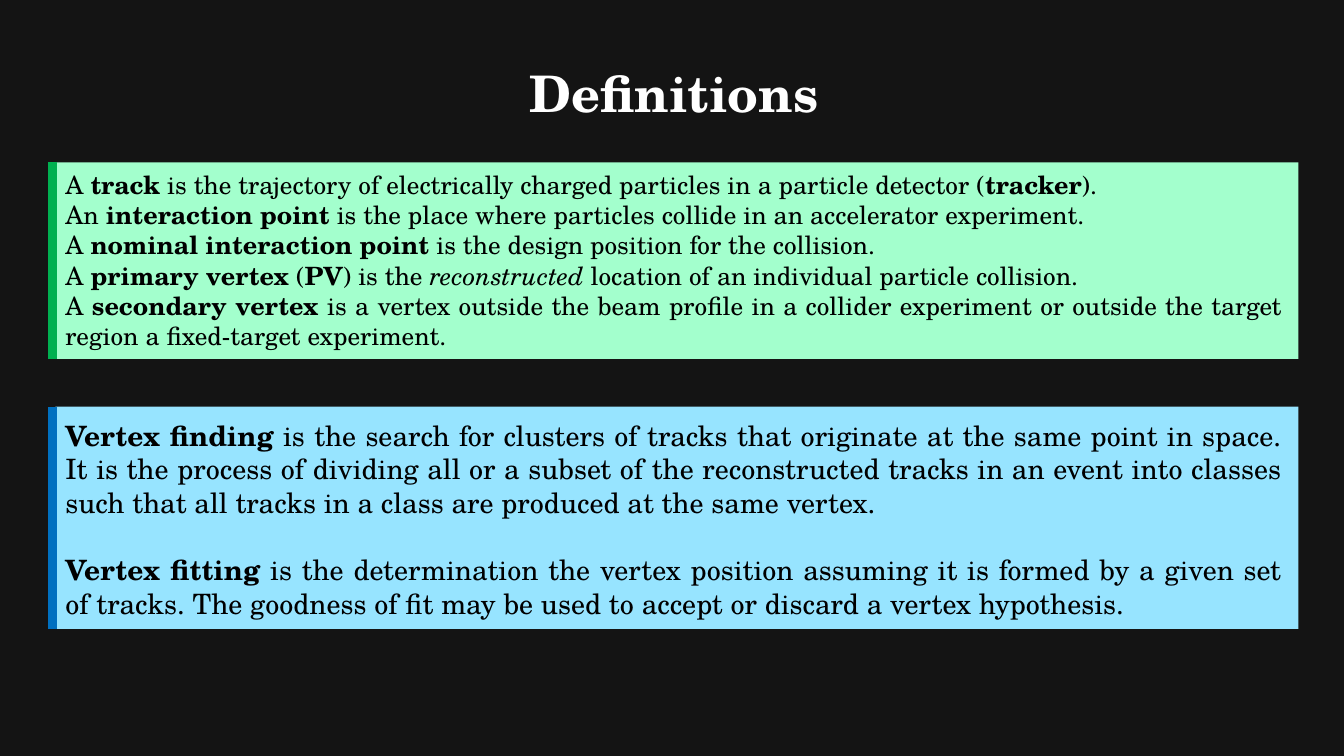
from pptx import Presentation
from pptx.dml.color import RGBColor
from pptx.enum.shapes import MSO_CONNECTOR, MSO_SHAPE
from pptx.enum.text import PP_ALIGN
from pptx.oxml.ns import qn
from pptx.util import Pt

RECT = MSO_SHAPE.RECTANGLE
STRAIGHT = MSO_CONNECTOR.STRAIGHT
CENTER, JUSTIFY = PP_ALIGN.CENTER, PP_ALIGN.JUSTIFY

FONT = "TeX Gyre Schola"
COLORS = {
    "background": "141414", "title": "FFFFFF", "text": "000000",
    "green": "A3FFCD", "green_bar": "00B050",
    "blue": "97E4FF", "blue_bar": "0070C0",
}
LEFT, PANEL_W, TEXT_W = 39.6, 887.8, 883.4

# *...* marks bold, _..._ marks italic
TERMS = [
    "A *track* is the trajectory of electrically charged particles in a "
    "particle detector (*tracker*).",
    "An *interaction point* is the place where particles collide in an "
    "accelerator experiment.",
    "A *nominal interaction point* is the design position for the collision.",
    "A *primary vertex* (*PV*) is the _reconstructed_ location of an "
    "individual particle collision.",
    "A *secondary vertex* is a vertex outside the beam profile in a collider "
    "experiment or outside the target region a fixed-target experiment.",
]
TASKS = [
    "*Vertex finding* is the search for clusters of tracks that originate at "
    "the same point in space. It is the process of dividing all or a subset "
    "of the reconstructed tracks in an event into classes such that all "
    "tracks in a class are produced at the same vertex.",
    "*Vertex fitting* is the determination the vertex position assuming it is "
    "formed by a given set of tracks. The goodness of fit may be used to "
    "accept or discard a vertex hypothesis.",
]


def rgb(name):
    return RGBColor.from_string(COLORS[name])


def add_runs(p, marked, size, color):
    for i, part in enumerate(marked.split("*")):
        for j, text in enumerate(part.split("_")):
            if text:
                r = p.add_run()
                r.text = text
                r.font.name, r.font.size = FONT, Pt(size)
                r.font.bold, r.font.italic = i % 2 == 1, j % 2 == 1
                r.font.color.rgb = rgb(color)


def add_text(slide, box, paragraphs, size, color, align, gap=0):
    tf = slide.shapes.add_textbox(*map(Pt, box)).text_frame
    tf.word_wrap = True
    for i, marked in enumerate(paragraphs):
        p = tf.paragraphs[0] if i == 0 else tf.add_paragraph()
        p.alignment = align
        if i:
            p.space_before = Pt(gap)
        add_runs(p, marked, size, color)


def add_panel(slide, box, color, paragraphs, size, text_offset, gap=0):
    left, top, width, height = box
    # Filled background
    sp = slide.shapes.add_shape(RECT, *map(Pt, box))
    sp.shadow.inherit = False
    sp.fill.solid()
    sp.fill.fore_color.rgb = rgb(color)
    sp.line.fill.background()
    # Accent bar along the left edge
    x = left - 2.2
    bar = slide.shapes.add_connector(
        STRAIGHT, Pt(x), Pt(top), Pt(x), Pt(top + height))
    bar.line.color.rgb = rgb(color + "_bar")
    bar.line.width = Pt(6)
    sp_pr = bar._element.spPr
    sp_pr.append(sp_pr.makeelement(qn("a:effectLst"), {}))
    # Definitions
    text_box = (left, top + text_offset, TEXT_W, height - text_offset)
    add_text(slide, text_box, paragraphs, size, "text", JUSTIFY, gap)


def build_definitions(prs):
    slide = prs.slides.add_slide(prs.slide_layouts[6])
    slide.background.fill.solid()
    slide.background.fill.fore_color.rgb = rgb("background")
    add_text(slide, (LEFT, 41, TEXT_W, 51), ["*Definitions*"], 36, "title",
             CENTER)
    add_panel(slide, (LEFT, 115.9, PANEL_W, 140.4), "green", TERMS, 18, 1.5)
    add_panel(slide, (LEFT, 290.4, PANEL_W, 158.8), "blue", TASKS, 20, 4.8,
              gap=24)


def main():
    prs = Presentation()
    prs.slide_width, prs.slide_height = Pt(960), Pt(540)
    build_definitions(prs)
    prs.save("out.pptx")


if __name__ == "__main__":
    main()
